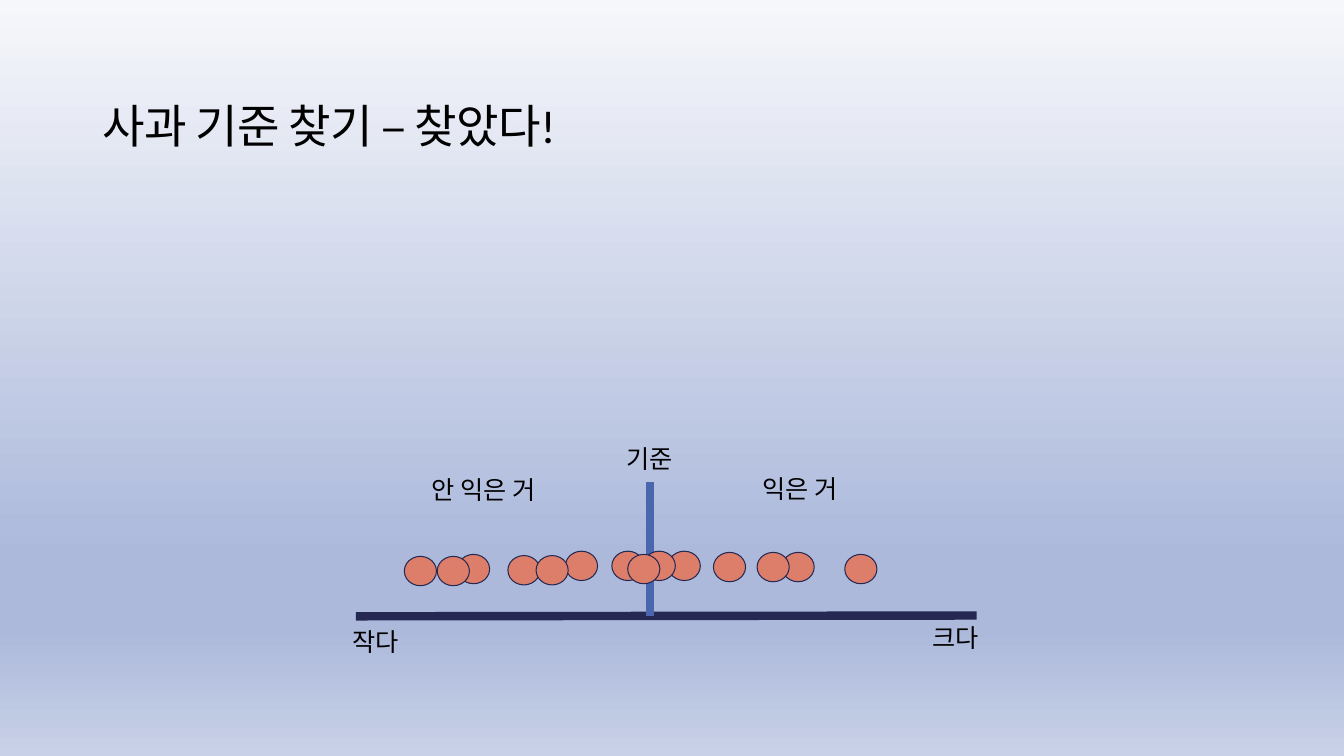
from lxml.etree import SubElement
from pptx import Presentation
from pptx.dml.color import RGBColor
from pptx.enum.shapes import MSO_CONNECTOR, MSO_SHAPE
from pptx.enum.text import MSO_ANCHOR, MSO_AUTO_SIZE, PP_ALIGN
from pptx.oxml.ns import qn
from pptx.util import Cm, Pt

COLORS = {
    "text": "000000",
    "axis": "242852",
    "criterion": "4A66AC",
    "apple": "DD7E6B",
    "sky_top": "F6F7FB",
    "sky_mid": "ACB9DB",
    "sky_end": "C8D1E7",
}
SKY = [(0, "sky_top"), (74, "sky_mid"), (83, "sky_mid"), (100, "sky_end")]
APPLE_SIZE = (0.81, 0.74)
APPLES = [
    (21.29, 13.97), (11.53, 13.97), (14.25, 13.89), (16.84, 13.89),
    (17.98, 13.92), (15.42, 13.89), (19.71, 13.92), (10.19, 14.02),
    (16.21, 13.89), (12.8, 14), (15.82, 13.97), (13.51, 14),
    (19.08, 13.92), (11.02, 14.02),
]
LABELS = [
    ("크다", 23.24, 15.42, 2.08, PP_ALIGN.LEFT),
    ("작다", 8.64, 15.54, 2.08, PP_ALIGN.LEFT),
    ("익은 거", 18.36, 11.68, 3.61, PP_ALIGN.CENTER),
    ("안 익은 거", 10.39, 11.71, 3.61, PP_ALIGN.CENTER),
]


def rgb(name):
    return RGBColor.from_string(COLORS[name])


def set_format(target, values):
    for name, value in values.items():
        setattr(target, name, value)


def set_background(s):
    fill = s.background.fill
    fill.gradient()
    fill.gradient_angle = 270
    stops = next(s.element.iter(qn("a:gsLst")))
    for stop in list(stops):
        stops.remove(stop)
    for percent, name in SKY:
        stop = SubElement(stops, qn("a:gs"), pos=str(percent * 1000))
        SubElement(stop, qn("a:srgbClr"), val=COLORS[name])


def write(tf, text, size, align):
    p = tf.paragraphs[0]
    p.alignment = align
    r = p.add_run()
    r.text = text
    set_format(r.font, {"name": "Calibri", "size": Pt(size)})
    r.font.color.rgb = rgb("text")
    return p, r


def add_title(s, text):
    title = s.shapes.title
    set_format(title, {"left": Cm(2.34), "top": Cm(2.34),
                       "width": Cm(29.21), "height": Cm(1.8)})
    tf = title.text_frame
    set_format(tf, {"word_wrap": True, "auto_size": MSO_AUTO_SIZE.NONE,
                    "vertical_anchor": MSO_ANCHOR.MIDDLE})
    p, r = write(tf, text, 33, PP_ALIGN.LEFT)
    p.line_spacing = 0.9
    r.font._element.set("spc", "-60")


def add_label(shapes, text, left, top, width, align):
    sp = shapes.add_textbox(Cm(left), Cm(top), Cm(width), Cm(0.99))
    tf = sp.text_frame
    tf.word_wrap = True
    sides = ("left", "top", "right", "bottom")
    set_format(tf, {f"margin_{side}": Cm(0.25) for side in sides})
    write(tf, text, 18, align)


def add_line(shapes, x1, y1, x2, y2, color):
    line = shapes.add_connector(MSO_CONNECTOR.STRAIGHT,
                                Cm(x1), Cm(y1), Cm(x2), Cm(y2))
    line.line.color.rgb = rgb(color)
    line.line.width = Pt(6)
    SubElement(line._element.spPr, qn("a:effectLst"))


def add_apple(shapes, left, top):
    width, height = APPLE_SIZE
    sp = shapes.add_shape(MSO_SHAPE.FLOWCHART_CONNECTOR,
                          Cm(left), Cm(top), Cm(width), Cm(height))
    sp.shadow.inherit = False
    sp.fill.solid()
    sp.fill.fore_color.rgb = rgb("apple")
    sp.line.color.rgb = rgb("axis")
    sp.line.width = Pt(0.75)


def add_criterion(s):
    group = s.shapes.add_group_shape()
    add_line(group.shapes, 16.38, 12.14, 16.38, 15.52, "criterion")
    add_label(group.shapes, "기준", 15.34, 10.92, 2.08, PP_ALIGN.CENTER)


def main():
    prs = Presentation()
    set_format(prs, {"slide_width": Cm(33.87), "slide_height": Cm(19.05)})
    s = prs.slides.add_slide(prs.slide_layouts[5])
    set_background(s)
    add_title(s, "사과 기준 찾기 – 찾았다!")
    add_line(s.shapes, 8.97, 15.53, 24.61, 15.51, "axis")
    add_criterion(s)
    for label in LABELS:
        add_label(s.shapes, *label)
    for left, top in APPLES:
        add_apple(s.shapes, left, top)
    prs.save("out.pptx")


if __name__ == "__main__":
    main()
